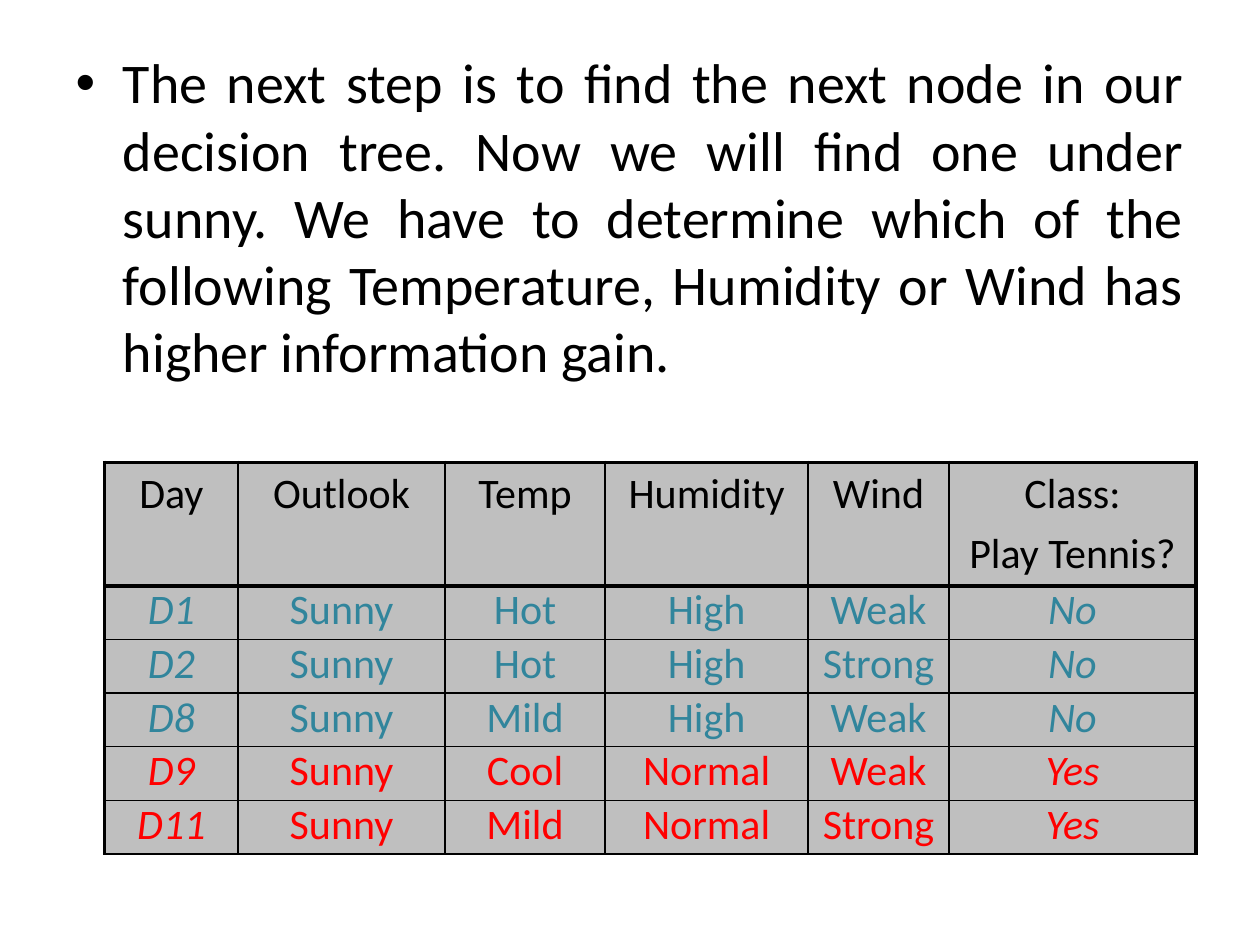
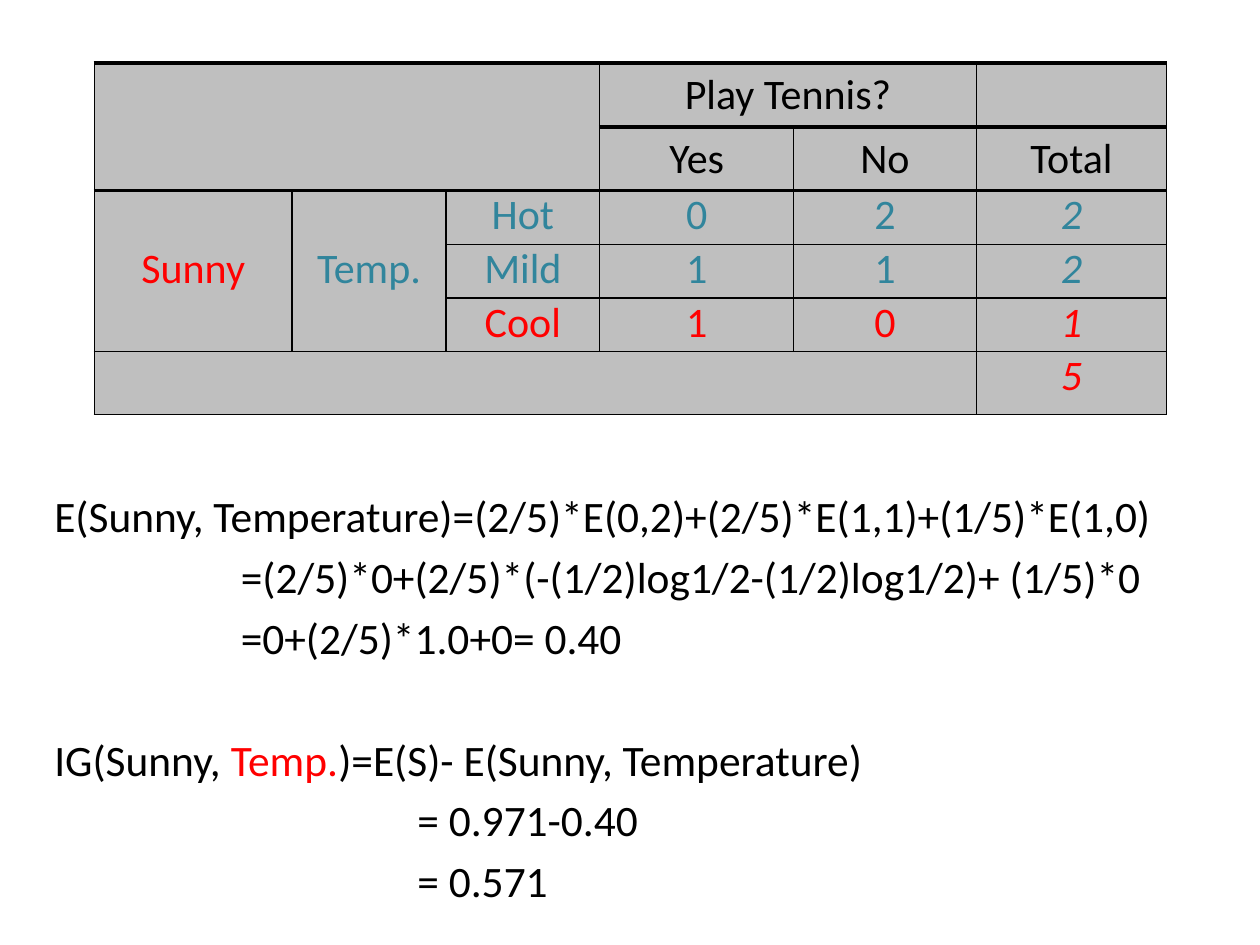
import pptx
import pptx.util
import pptx.dml.color
import pptx.enum.text
import pptx.oxml.ns
from lxml import etree

Cm, Pt = pptx.util.Cm, pptx.util.Pt
Align = pptx.enum.text.PP_ALIGN
COLORS = {"text": "000000", "line": "000000", "cell": "BFBFBF",
          "teal": "31859C", "red": "FF0000"}


def rgb(tone):
    return pptx.dml.color.RGBColor.from_string(COLORS[tone])


def add_tag(parent, tag, **attrs):
    return etree.SubElement(parent, pptx.oxml.ns.qn(tag), attrs)


class Deck:
    font = "Calibri"
    thin, thick = 1, 2.25

    def __init__(self):
        self.prs = pptx.Presentation()
        self.prs.slide_width, self.prs.slide_height = Cm(25.4), Cm(19.05)
        self.slide = None

    def new_slide(self):
        self.slide = self.prs.slides.add_slide(self.prs.slide_layouts[1])
        title = self.slide.shapes.title
        title.element.getparent().remove(title.element)

    def style(self, para, size, tone="text", italic=False):
        font = para.font
        font.name, font.size, font.italic = self.font, Pt(size), italic
        font.color.rgb = rgb(tone)

    def body(self, left, top, width, height):
        """Place the body placeholder and return its text frame."""
        box = self.slide.placeholders[1]
        box.left, box.top = Cm(left), Cm(top)
        box.width, box.height = Cm(width), Cm(height)
        box.text_frame.auto_size = pptx.enum.text.MSO_AUTO_SIZE.NONE
        return box.text_frame

    def bullet(self, frame, text):
        para = frame.paragraphs[0]
        para.text, para.alignment = text, Align.JUSTIFY
        self.style(para, 32)

    def steps(self, frame, lines, size):
        """Write unbulleted lines: (indent in cm, points before, runs)."""
        for i, (indent, gap, runs) in enumerate(lines):
            para = frame.paragraphs[0] if i == 0 else frame.add_paragraph()
            self.style(para, size)
            para.space_before = Pt(gap)
            props = para._p.get_or_add_pPr()
            props.set("marL", str(Cm(indent)))
            props.set("indent", "0")
            props.insert_element_before(
                props.makeelement(pptx.oxml.ns.qn("a:buNone")),
                "a:tabLst", "a:defRPr", "a:extLst")
            for text, tone in runs:
                run = para.add_run()
                run.text = text
                if tone != "text":
                    run.font.color.rgb = rgb(tone)

    def border(self, cell, side, width):
        line = add_tag(cell._tc.get_or_add_tcPr(), "a:ln" + side,
                       w=str(Pt(width)))
        fill = add_tag(line, "a:solidFill")
        add_tag(fill, "a:srgbClr", val=COLORS["line"])

    def fill_cell(self, cell, text, tone, italic):
        for i, part in enumerate(text.split("\n")):
            para = (cell.text_frame.add_paragraph() if i
                    else cell.text_frame.paragraphs[0])
            para.text, para.alignment = part, Align.CENTER
            if tone != "text":
                para.line_spacing = 0.8
            elif i:
                para.space_before = Pt(4.8)
            self.style(para, 24, tone, italic)

    def table(self, left, top, cols, rows, data, tones, italics,
              heads=1, frame=False, merges=(), special=None):
        """Draw a grid; tones go by row, italics by column."""
        grid = self.slide.shapes.add_table(
            len(rows), len(cols), Cm(left), Cm(top),
            Cm(sum(cols)), Cm(sum(rows))).table
        grid.first_row = grid.horz_banding = False
        for col, width in zip(grid.columns, cols):
            col.width = Cm(width)
        for row, height in zip(grid.rows, rows):
            row.height = Cm(height)
        edges = {0, len(cols)} if frame else set()
        for r, texts in enumerate(data):
            for c, text in enumerate(texts):
                cell = grid.cell(r, c)
                for side, bold in (("L", c in edges), ("R", c + 1 in edges),
                                   ("T", r <= heads), ("B", r < heads)):
                    self.border(cell, side, self.thick if bold else self.thin)
                cell.fill.solid()
                cell.fill.fore_color.rgb = rgb("cell")
                if text:
                    tone = (special or {}).get((r, c), tones[r])
                    self.fill_cell(cell, text, tone,
                                   r >= heads and c in italics)
        for first, last in merges:
            grid.cell(*first).merge(grid.cell(*last))
            if last[0] > first[0]:
                grid.cell(*first).vertical_anchor = (
                    pptx.enum.text.MSO_ANCHOR.MIDDLE)


def main():
    deck = Deck()

    # Next node: the sunny days
    deck.new_slide()
    deck.bullet(
        deck.body(1.27, 0.84, 22.86, 16.51),
        "The next step is to find the next node in our decision tree. "
        "Now we will find one under sunny. We have to determine which of "
        "the following Temperature, Humidity or Wind has higher "
        "information gain.")
    days = [
        ["Day", "Outlook", "Temp", "Humidity", "Wind", "Class:\nPlay Tennis?"],
        ["D1", "Sunny", "Hot", "High", "Weak", "No"],
        ["D2", "Sunny", "Hot", "High", "Strong", "No"],
        ["D8", "Sunny", "Mild", "High", "Weak", "No"],
        ["D9", "Sunny", "Cool", "Normal", "Weak", "Yes"],
        ["D11", "Sunny", "Mild", "Normal", "Strong", "Yes"],
    ]
    deck.table(2.11, 9.32, [2.69, 4.17, 3.23, 4.09, 2.84, 4.98],
               [2.46] + [1.07] * 5, days,
               ["text"] + ["teal"] * 3 + ["red"] * 2, {0, 5}, frame=True)

    # Information gain of temperature
    deck.new_slide()
    step, gain = 3.76, 7.32
    deck.steps(deck.body(0.84, 9.73, 23.29, 8.46), [
        (0, 5, [("E(Sunny, Temperature)=(2/5)*E(0,2)+(2/5)*E(1,1)"
                 "+(1/5)*E(1,0)", "text")]),
        (step, 5, [("=(2/5)*0+(2/5)*(-(1/2)log1/2-(1/2)log1/2)+ (1/5)*0",
                    "text")]),
        (step, 5, [("=0+(2/5)*1.0+0= 0.40", "text")]),
        (0, 40, [("IG(Sunny, ", "text"), ("Temp.", "red"),
                 (")=E(S)- E(Sunny, Temperature)", "text")]),
        (gain, 5, [("= 0.971-0.40", "text")]),
        (gain, 5, [("= 0.571", "text")]),
    ], 24.8)
    counts = [
        ["", "", "", "Play Tennis?", "", ""],
        ["", "", "", "Yes", "No", "Total"],
        ["Sunny", "Temp.", "Hot", "0", "2", "2"],
        ["", "", "Mild", "1", "1", "2"],
        ["", "", "Cool", "1", "0", "1"],
        ["", "", "", "", "", "5"],
    ]
    deck.table(1.9, 1.27, [3.99, 3.1, 3.1, 3.91, 3.68, 3.84],
               [1.27] * 2 + [1.07] * 3 + [1.27], counts,
               ["text"] * 2 + ["teal"] * 2 + ["red"] * 2, {5}, heads=2,
               merges=[((0, 0), (1, 2)), ((0, 3), (0, 4)), ((2, 0), (4, 0)),
                       ((2, 1), (4, 1)), ((5, 0), (5, 4))],
               special={(2, 0): "red"})

    deck.prs.save("out.pptx")


if __name__ == "__main__":
    main()
